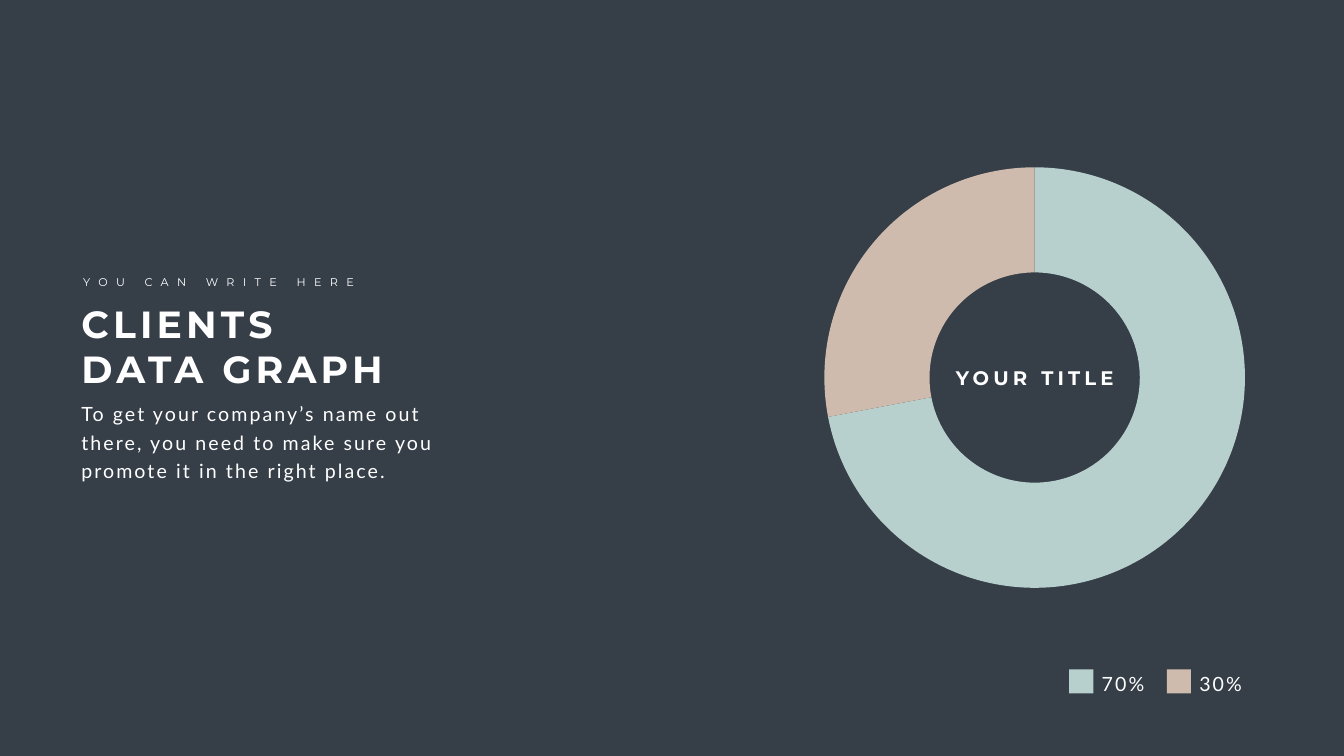
from pptx import Presentation
from pptx.chart.data import CategoryChartData
from pptx.dml.color import RGBColor
from pptx.enum.chart import XL_CHART_TYPE
from pptx.enum.shapes import MSO_SHAPE
from pptx.enum.text import MSO_ANCHOR, MSO_AUTO_SIZE, PP_ALIGN
from pptx.oxml import parse_xml
from pptx.oxml.ns import nsdecls, qn
from pptx.util import Cm, Pt

DOUGHNUT, RECT = XL_CHART_TYPE.DOUGHNUT, MSO_SHAPE.RECTANGLE
LEFT, CENTER = PP_ALIGN.LEFT, PP_ALIGN.CENTER
TOP, NO_FIT = MSO_ANCHOR.TOP, MSO_AUTO_SIZE.NONE

DARK, WHITE, MINT, SAND = "363E48", "FFFFFF", "B7D0CD", "CEBBAD"

# Text formats: font attributes, then letter spacing in points
TITLE = {"name": "Montserrat", "size": Pt(54), "bold": True}, 6
EYEBROW = {"name": "Montserrat", "size": Pt(16), "bold": False}, 12
RING_TITLE = {"name": "Montserrat", "size": Pt(28), "bold": True}, 6
BODY = {"name": "Lato", "size": Pt(28), "bold": False}, 3
BODY_LEADING = Pt(40.8)


def rgb(value):
    return RGBColor.from_string(value)


def place(s, box):
    s.left, s.top, s.width, s.height = (Cm(v) for v in box)


def paint(fill, color):
    fill.solid()
    fill.fore_color.rgb = rgb(color)


def write(s, text, style, align=LEFT, leading=1.0):
    fonts, spacing = style
    tf = s.text_frame
    frame = {"word_wrap": True, "auto_size": NO_FIT, "vertical_anchor": TOP}
    for name, value in frame.items():
        setattr(tf, name, value)
    p = tf.paragraphs[0]
    layout = {"alignment": align, "line_spacing": leading, "space_before": Pt(0)}
    for name, value in layout.items():
        setattr(p, name, value)
    r = p.add_run()
    r.text = text
    for name, value in fonts.items():
        setattr(r.font, name, value)
    r.font.color.rgb = rgb(WHITE)
    r.font._element.set("spc", str(spacing * 100))
    return p


def add_text(slide, box, *args, **kwargs):
    s = slide.shapes.add_textbox(*(Cm(v) for v in box))
    write(s, *args, **kwargs)


def fill_placeholder(s, box, *args, **kwargs):
    place(s, box)
    p = write(s, *args, **kwargs)
    # No bullet and no hanging indent
    pPr = p._p.get_or_add_pPr()
    pPr.set("marL", "0")
    pPr.set("indent", "0")
    pPr.append(parse_xml(f"<a:buNone {nsdecls('a')}/>"))


def add_ring(slide, box, values, colors):
    data = CategoryChartData()
    data.categories = [str(i + 1) for i in range(len(values))]
    data.add_series("Series 1", values)
    chart = slide.shapes.add_chart(DOUGHNUT, *(Cm(v) for v in box), data).chart
    chart.has_legend = chart.has_title = False
    chart.font.name, chart.font.size = "Calibri", Pt(10)
    chart.font.color.rgb = rgb(WHITE)
    plot = chart.plots[0]
    plot.vary_by_categories = True
    for i, color in enumerate(colors):
        point = plot.series[0].points[i]
        paint(point.format.fill, color)
        point.format.line.fill.background()
    plot._element.find(qn("c:holeSize")).set("val", "90")

    # Centre a round plot area in the chart frame
    diameter = 21.2
    w, h = diameter / box[2], diameter / box[3]
    parts = {"x": (1 - w) / 2, "y": (1 - h) / 2, "w": w, "h": h}
    modes = "".join(f'<c:{k}Mode val="edge"/>' for k in "xy")
    sizes = "".join(f'<c:{k} val="{v:.3f}"/>' for k, v in parts.items())
    area = chart._chartSpace.chart.plotArea
    for old in area.findall(qn("c:layout")):
        area.remove(old)
    area.insert(0, parse_xml(
        f'<c:layout {nsdecls("c")}><c:manualLayout><c:layoutTarget val="inner"/>'
        f"{modes}{sizes}</c:manualLayout></c:layout>"))


def add_legend_item(slide, left, color, label):
    s = slide.shapes.add_shape(RECT, Cm(left), Cm(33.73), Cm(1.22), Cm(1.22))
    s.shadow.inherit = False
    paint(s.fill, color)
    s.line.fill.background()
    add_text(slide, (left + 1.39, 33.5, 3, 1.57), label, BODY, leading=BODY_LEADING)


def main():
    prs = Presentation()
    prs.slide_width, prs.slide_height = Cm(67.72), Cm(38.1)
    slide = prs.slides.add_slide(prs.slide_layouts[1])
    paint(slide.background.fill, DARK)
    for s in list(slide.placeholders):
        if s.placeholder_format.idx > 1:
            s._element.getparent().remove(s._element)

    # Text block on the left
    fill_placeholder(slide.placeholders[1], (3.84, 19.89, 19.15, 4.5),
                     "To get your company’s name out there, you need to make sure "
                     "you promote it in the right place.", BODY, leading=BODY_LEADING)
    fill_placeholder(slide.shapes.title, (3.84, 15.01, 16.56, 4.88),
                     "CLIENTS DATA GRAPH", TITLE)
    add_text(slide, (3.94, 13.74, 14.68, 0.94), "YOU CAN WRITE HERE", EYEBROW)

    # Doughnut chart with its title in the hole
    add_ring(slide, (40.41, 8.08, 23.47, 21.92), (72, 28), (MINT, SAND))
    add_text(slide, (45.47, 18.31, 13.34, 1.45), "YOUR TITLE", RING_TITLE, CENTER)

    # Legend
    for i, (color, label) in enumerate(((MINT, "70%"), (SAND, "30%"))):
        add_legend_item(slide, 53.87 + i * 4.92, color, label)

    prs.save("out.pptx")


if __name__ == "__main__":
    main()
